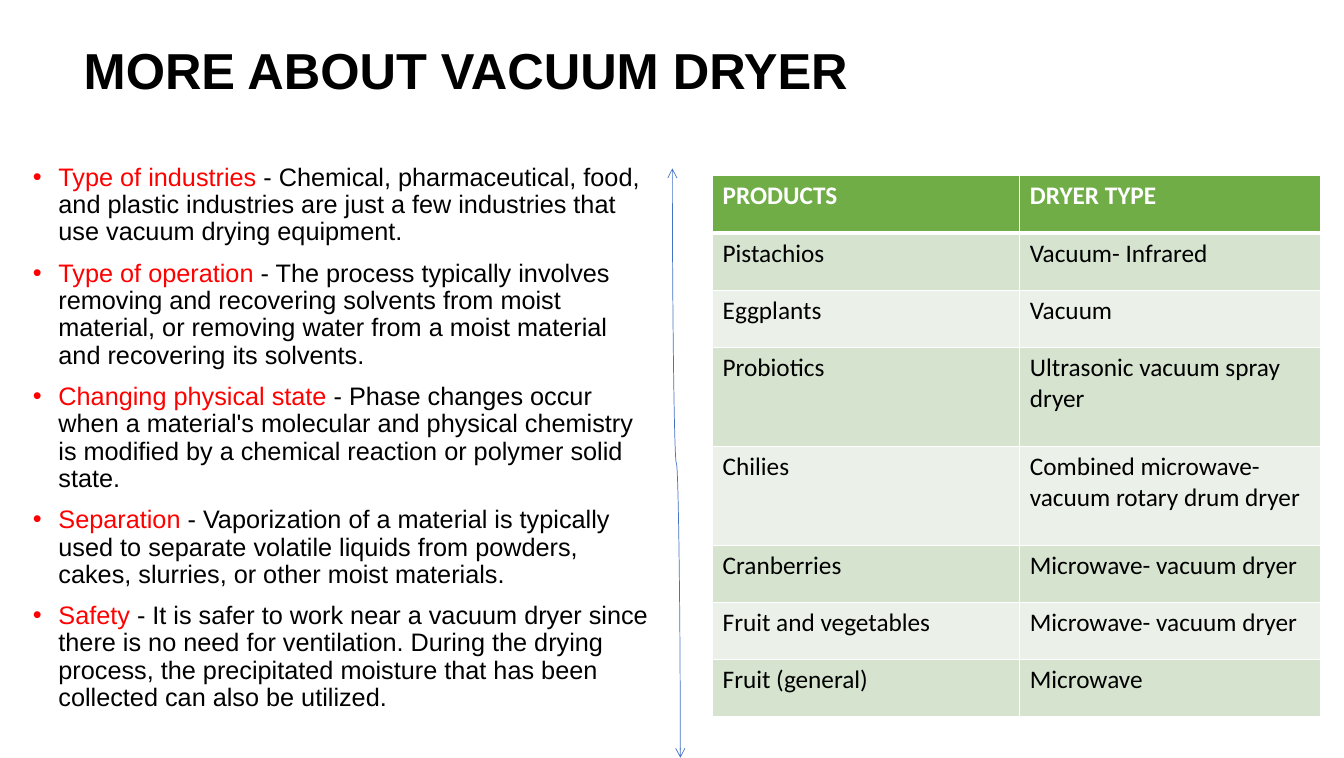
from lxml import etree
from pptx import Presentation
from pptx.dml.color import RGBColor
from pptx.enum.shapes import MSO_CONNECTOR
from pptx.enum.text import MSO_ANCHOR, MSO_AUTO_SIZE, PP_ALIGN
from pptx.oxml.ns import qn
from pptx.util import Cm, Pt

BLACK, WHITE, RED, BLUE = "000000", "FFFFFF", "FF0000", "4472C4"
HEADER_GREEN, BAND_GREEN, BAND_PALE = "70AD47", "D5E3CF", "EBF1E9"

FEATURES = [
    ("Type of industries", "Chemical, pharmaceutical, food, and plastic industries are "
     "just a few industries that use vacuum drying equipment."),
    ("Type of operation", "The process typically involves removing and recovering solvents "
     "from moist material, or removing water from a moist material and recovering its solvents."),
    ("Changing physical state", "Phase changes occur when a material's molecular and physical "
     "chemistry is modified by a chemical reaction or polymer solid state."),
    ("Separation", "Vaporization of a material is typically used to separate volatile liquids "
     "from powders, cakes, slurries, or other moist materials."),
    ("Safety", "It is safer to work near a vacuum dryer since there is no need for ventilation. "
     "During the drying process, the precipitated moisture that has been collected can also "
     "be utilized."),
]
DRYERS = [
    ("PRODUCTS", "DRYER TYPE"),
    ("Pistachios", "Vacuum- Infrared"),
    ("Eggplants", "Vacuum"),
    ("Probiotics", "Ultrasonic vacuum spray dryer"),
    ("Chilies", "Combined microwave- vacuum rotary drum dryer"),
    ("Cranberries", "Microwave- vacuum dryer"),
    ("Fruit and vegetables", "Microwave- vacuum dryer"),
    ("Fruit (general)", "Microwave"),
]
ROW_HEIGHT, TALL_ROW_HEIGHT = 1.44, 2.48
TALL_ROWS = (3, 4)


def color(hex_string):
    return RGBColor.from_string(hex_string)


def format_run(run, font_name, size, hex_string, bold=False):
    run.font.name = font_name
    run.font.size = Pt(size)
    run.font.bold = bold
    run.font.color.rgb = color(hex_string)


def add_bullet(paragraph, hex_string):
    properties = paragraph._p.get_or_add_pPr()
    properties.set("marL", str(Cm(0.64)))
    properties.set("indent", str(-Cm(0.64)))
    bullet_color = etree.SubElement(properties, qn("a:buClr"))
    etree.SubElement(bullet_color, qn("a:srgbClr"), val=hex_string)
    etree.SubElement(properties, qn("a:buFont"), typeface="Arial")
    etree.SubElement(properties, qn("a:buChar"), char="•")


def set_borders(cell, top, bottom):
    # Border lines stand before the fill in the cell properties
    properties = cell._tc.get_or_add_tcPr()
    sides = (("a:lnL", 1), ("a:lnR", 1), ("a:lnT", top), ("a:lnB", bottom))
    for position, (side, points) in enumerate(sides):
        border = etree.Element(qn(side), w=str(Pt(points)))
        fill = etree.SubElement(border, qn("a:solidFill"))
        etree.SubElement(fill, qn("a:srgbClr"), val=WHITE)
        properties.insert(position, border)


def fill_title(slide, left, top, width, height):
    title = slide.shapes.title
    title.left, title.top, title.width, title.height = map(Cm, (left, top, width, height))
    frame = title.text_frame
    frame.text = "MORE ABOUT VACUUM DRYER"
    frame.auto_size = MSO_AUTO_SIZE.NONE
    frame.vertical_anchor = MSO_ANCHOR.MIDDLE
    paragraph = frame.paragraphs[0]
    paragraph.alignment = PP_ALIGN.LEFT
    paragraph.line_spacing = 0.9
    format_run(paragraph.runs[0], "Arial", 36, BLACK, bold=True)


def add_features(slide, left, top, width, height):
    box = slide.shapes.add_textbox(*map(Cm, (left, top, width, height)))
    frame = box.text_frame
    frame.word_wrap = True
    for index, (name, description) in enumerate(FEATURES):
        paragraph = frame.add_paragraph() if index else frame.paragraphs[0]
        paragraph.line_spacing = 0.9
        paragraph.space_before = Pt(10)
        add_bullet(paragraph, RED)
        for text, hex_string in ((name, RED), (f" - {description}", BLACK)):
            run = paragraph.add_run()
            run.text = text
            format_run(run, "Arial", 18, hex_string)


def add_divider(slide, center_x, center_y, length, drift):
    # A curve laid flat around the center, then turned upright
    line = slide.shapes.add_connector(
        MSO_CONNECTOR.CURVE,
        Cm(center_x + length / 2), Cm(center_y - drift / 2),
        Cm(center_x - length / 2), Cm(center_y + drift / 2))
    line.line.color.rgb = color(BLUE)
    line.line.width = Pt(0.5)
    properties = line._element.spPr
    properties.find(qn("a:xfrm")).set("rot", str(270 * 60000))
    outline = properties.find(qn("a:ln"))
    for end in ("a:headEnd", "a:tailEnd"):
        etree.SubElement(outline, qn(end), type="arrow")
    etree.SubElement(properties, qn("a:effectLst"))


def add_dryer_table(slide, left, top, column_widths):
    heights = [TALL_ROW_HEIGHT if index in TALL_ROWS else ROW_HEIGHT
               for index in range(len(DRYERS))]
    frame = slide.shapes.add_table(
        len(DRYERS), len(column_widths), Cm(left), Cm(top),
        Cm(sum(column_widths)), Cm(sum(heights)))
    table = frame.table
    for column, width in zip(table.columns, column_widths):
        column.width = Cm(width)
    for index, (row, texts) in enumerate(zip(table.rows, DRYERS)):
        row.height = Cm(heights[index])
        is_header = index == 0
        band = BAND_GREEN if index % 2 else BAND_PALE
        for cell, text in zip(row.cells, texts):
            cell.fill.solid()
            cell.fill.fore_color.rgb = color(HEADER_GREEN if is_header else band)
            set_borders(cell, top=3 if index == 1 else 1, bottom=3 if is_header else 1)
            cell.text_frame.text = text
            format_run(cell.text_frame.paragraphs[0].runs[0], "Calibri", 18,
                       WHITE if is_header else BLACK, bold=is_header)


def main():
    presentation = Presentation()
    presentation.slide_width = Cm(33.78)
    presentation.slide_height = Cm(19.05)
    slide = presentation.slides.add_slide(presentation.slide_layouts[5])

    fill_title(slide, 1.85, 0, 29.13, 3.68)
    # Left: features; right: dryer per product; divider between them
    add_features(slide, 0.58, 4.01, 16.08, 14.63)
    add_dryer_table(slide, 17.91, 4.42, (7.72, 7.57))
    add_divider(slide, 17, 11.64, 14.81, 0.2)

    presentation.save("out.pptx")


if __name__ == "__main__":
    main()
